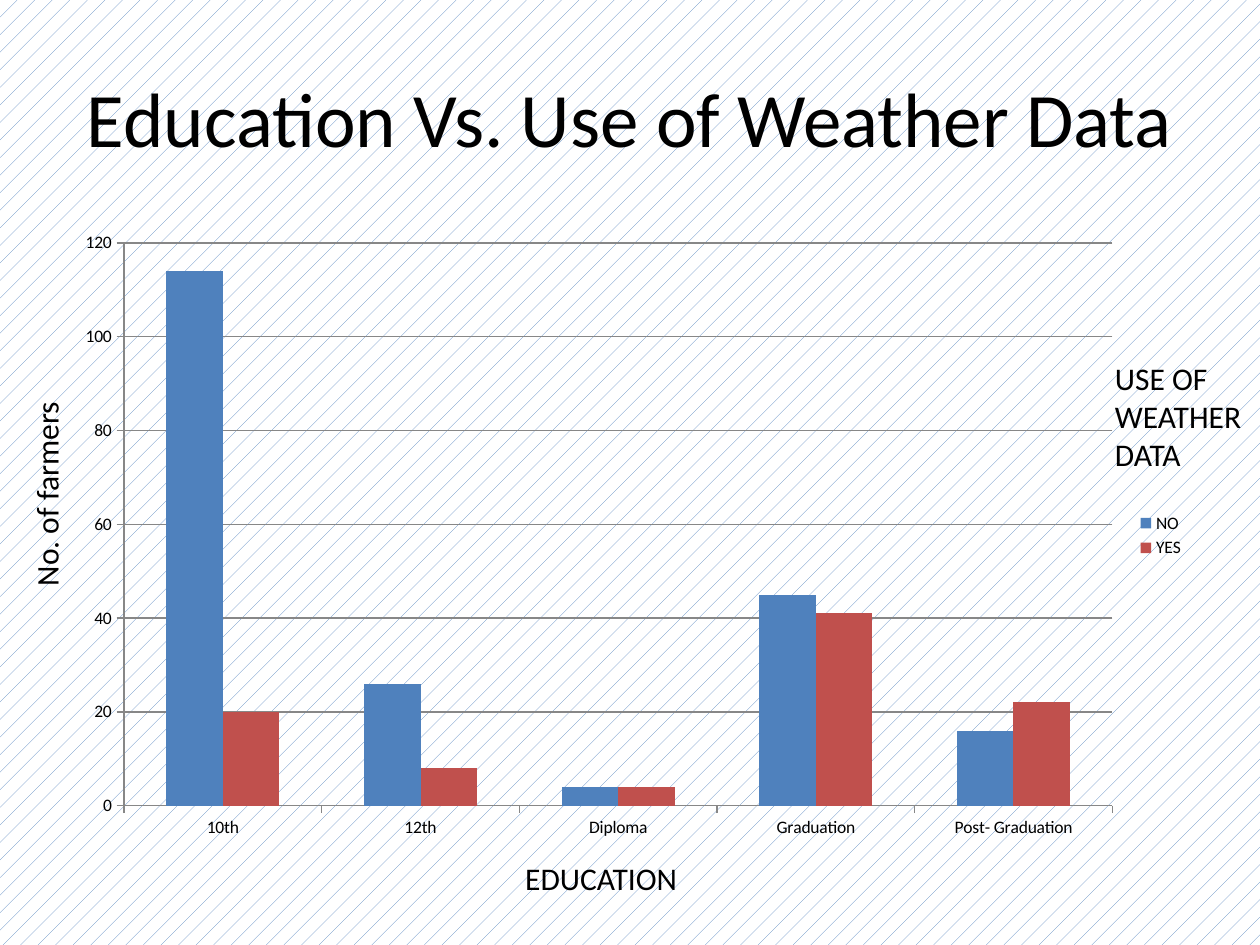
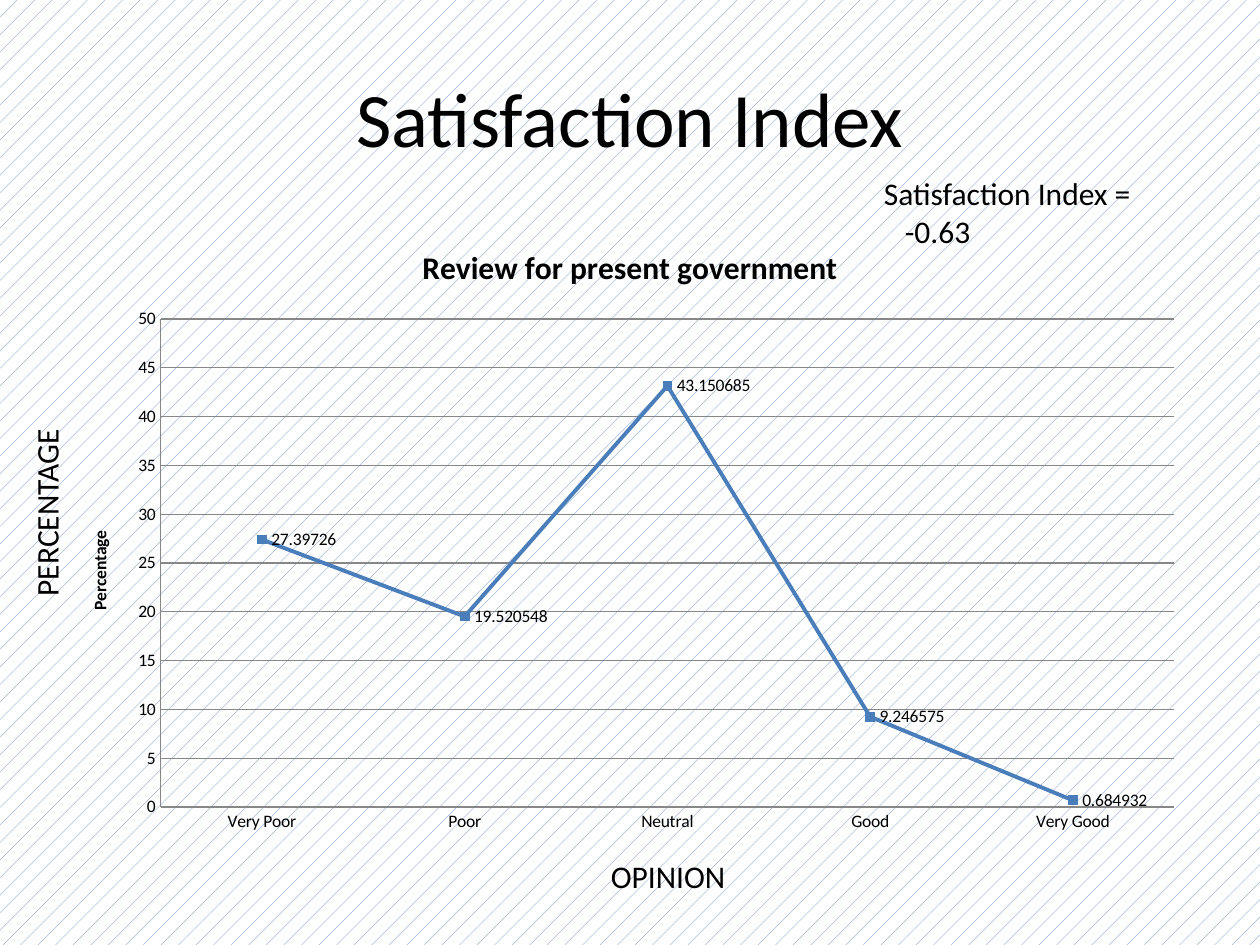
"""Build two survey chart slides on a hatched ground."""
import dataclasses

import pptx
import pptx.chart.data
import pptx.dml.color
import pptx.enum.chart
import pptx.enum.dml
import pptx.enum.text
import pptx.util

Pt = pptx.util.Pt
Enum = pptx.enum.chart


def tint(code):
    """Return the colour for a hex code."""
    return pptx.dml.color.RGBColor.from_string(code)


@dataclasses.dataclass(frozen=True)
class Theme:
    """Hold the colours, font and type sizes of the deck."""
    ink: str = "000000"
    paper: str = "FFFFFF"
    blue: str = "4F81BD"
    steel: str = "4A7EBB"
    red: str = "C0504D"
    grid: str = "878787"
    face: str = "Calibri"
    head: int = 44
    note: int = 18
    small: int = 10


THEME = Theme()


def apply(target, values):
    """Set each named value on the target."""
    for name, value in values.items():
        setattr(target, name, value)


def style(font, size, bold=False):
    """Give a font the face, size and ink of the theme."""
    apply(font, {"name": THEME.face, "size": Pt(size), "bold": bold})
    font.color.rgb = tint(THEME.ink)


def place(shape, box):
    """Move a shape to a box of points."""
    apply(shape, dict(zip(("left", "top", "width", "height"), map(Pt, box))))


def ground(master):
    """Hatch the master background."""
    fill = master.background.fill
    fill.patterned()
    fill.pattern = pptx.enum.dml.MSO_PATTERN.PERCENT_5
    fill.fore_color.rgb = tint(THEME.blue)
    fill.back_color.rgb = tint(THEME.paper)


def start(deck, text):
    """Add a slide with its title."""
    slide = deck.slides.add_slide(deck.slide_layouts[5])
    title = slide.shapes.title
    place(title, (36, 21.6, 648, 90))
    frame = title.text_frame
    apply(frame, {"text": text, "word_wrap": True,
                  "vertical_anchor": pptx.enum.text.MSO_ANCHOR.MIDDLE})
    line = frame.paragraphs[0]
    line.alignment = pptx.enum.text.PP_ALIGN.CENTER
    style(line.runs[0].font, THEME.head)
    return slide


def label(slide, text, box, turn=0):
    """Add a note, turned by some degrees."""
    shape = slide.shapes.add_textbox(*map(Pt, box))
    shape.rotation = turn
    frame = shape.text_frame
    apply(frame, {"text": text, "word_wrap": True,
                  "auto_size": pptx.enum.text.MSO_AUTO_SIZE.SHAPE_TO_FIT_TEXT})
    for line in frame.paragraphs:
        style(line.runs[0].font, THEME.note)
    return frame


def caption(owner, text, size):
    """Write a bold title on a chart or an axis."""
    owner.has_title = True
    title = owner.chart_title if hasattr(owner, "chart_title") else owner.axis_title
    frame = title.text_frame
    frame.text = text
    style(frame.paragraphs[0].runs[0].font, size, True)


def graph(slide, kind, names, rows, height, tick, top):
    """Add a chart with grey axes and grid lines."""
    data = pptx.chart.data.CategoryChartData()
    data.categories = names
    for name, values in rows.items():
        data.add_series(name, values)
    box = map(Pt, (36, 126, 648, height))
    chart = slide.shapes.add_chart(kind, *box, data).chart
    apply(chart, {"has_title": False, "has_legend": False})
    style(chart.font, THEME.small)
    chart.plots[0].vary_by_categories = False
    rule = chart.value_axis
    apply(rule, {"has_major_gridlines": True, "minimum_scale": 0,
                 "maximum_scale": top})
    for axis in (chart.category_axis, rule):
        apply(axis, {"major_tick_mark": tick,
                     "minor_tick_mark": Enum.XL_TICK_MARK.NONE})
        edge(axis.format.line)
    edge(rule.major_gridlines.format.line)
    return chart


def edge(line):
    """Draw a thin grey line."""
    line.color.rgb = tint(THEME.grid)
    line.width = Pt(0.75)


def columns(slide):
    """Chart the use of weather data by schooling."""
    chart = graph(slide, Enum.XL_CHART_TYPE.COLUMN_CLUSTERED,
                  ("10th", "12th", "Diploma", "Graduation", "Post- Graduation"),
                  {"NO": (114, 26, 4, 45, 16), "YES": (20, 8, 4, 41, 22)},
                  360, Enum.XL_TICK_MARK.OUTSIDE, 120)
    plot = chart.plots[0]
    apply(plot, {"gap_width": 150, "overlap": 0})
    for row, code in zip(plot.series, (THEME.blue, THEME.red)):
        row.format.fill.solid()
        row.format.fill.fore_color.rgb = tint(code)
    chart.has_legend = True
    apply(chart.legend, {"position": Enum.XL_LEGEND_POSITION.RIGHT,
                         "include_in_layout": False})
    style(chart.legend.font, THEME.small)


def trend(slide):
    """Chart the share of each opinion."""
    shares = (27.39726, 19.520548, 43.150685, 9.246575, 0.684932)
    chart = graph(slide, Enum.XL_CHART_TYPE.LINE_MARKERS,
                  ("Very Poor", "Poor", "Neutral", "Good", "Very Good"),
                  {"Series 1": shares}, 356.4, Enum.XL_TICK_MARK.NONE, 50)
    caption(chart, "Review for present government", THEME.note)
    caption(chart.value_axis, "Percentage", THEME.small)
    plot = chart.plots[0]
    row = plot.series[0]
    row.smooth = False
    row.format.line.color.rgb = tint(THEME.steel)
    row.format.line.width = Pt(2.25)
    apply(row.marker, {"style": Enum.XL_MARKER_STYLE.SQUARE, "size": 5})
    row.marker.format.fill.solid()
    row.marker.format.fill.fore_color.rgb = tint(THEME.blue)
    row.marker.format.line.color.rgb = tint(THEME.steel)
    plot.has_data_labels = True
    marks = plot.data_labels
    apply(marks, {"show_value": True, "number_format": "General",
                  "number_format_is_linked": False,
                  "position": Enum.XL_LABEL_POSITION.RIGHT})
    style(marks.font, THEME.small)


def main():
    """Build and save the deck."""
    deck = pptx.Presentation()
    apply(deck, {"slide_width": Pt(720), "slide_height": Pt(540)})
    ground(deck.slide_master)

    slide = start(deck, "Education Vs. Use of Weather Data")
    columns(slide)
    label(slide, "EDUCATION", (293, 487.5, 198, 29))
    label(slide, "No. of farmers", (-33.5, 267.5, 120, 29), 270)
    label(slide, "USE OF WEATHER DATA", (630, 201.6, 96, 72.7))

    slide = start(deck, "Satisfaction Index")
    trend(slide)
    label(slide, "PERCENTAGE", (-33.5, 273.4, 120, 29), 270)
    label(slide, "OPINION", (342, 486, 222, 29))
    frame = label(slide, "Satisfaction Index =\n-0.63", (498, 96, 174, 51))
    frame.paragraphs[1]._p.get_or_add_pPr().set("marL", str(Pt(12)))

    deck.save("out.pptx")


if __name__ == "__main__":
    main()
